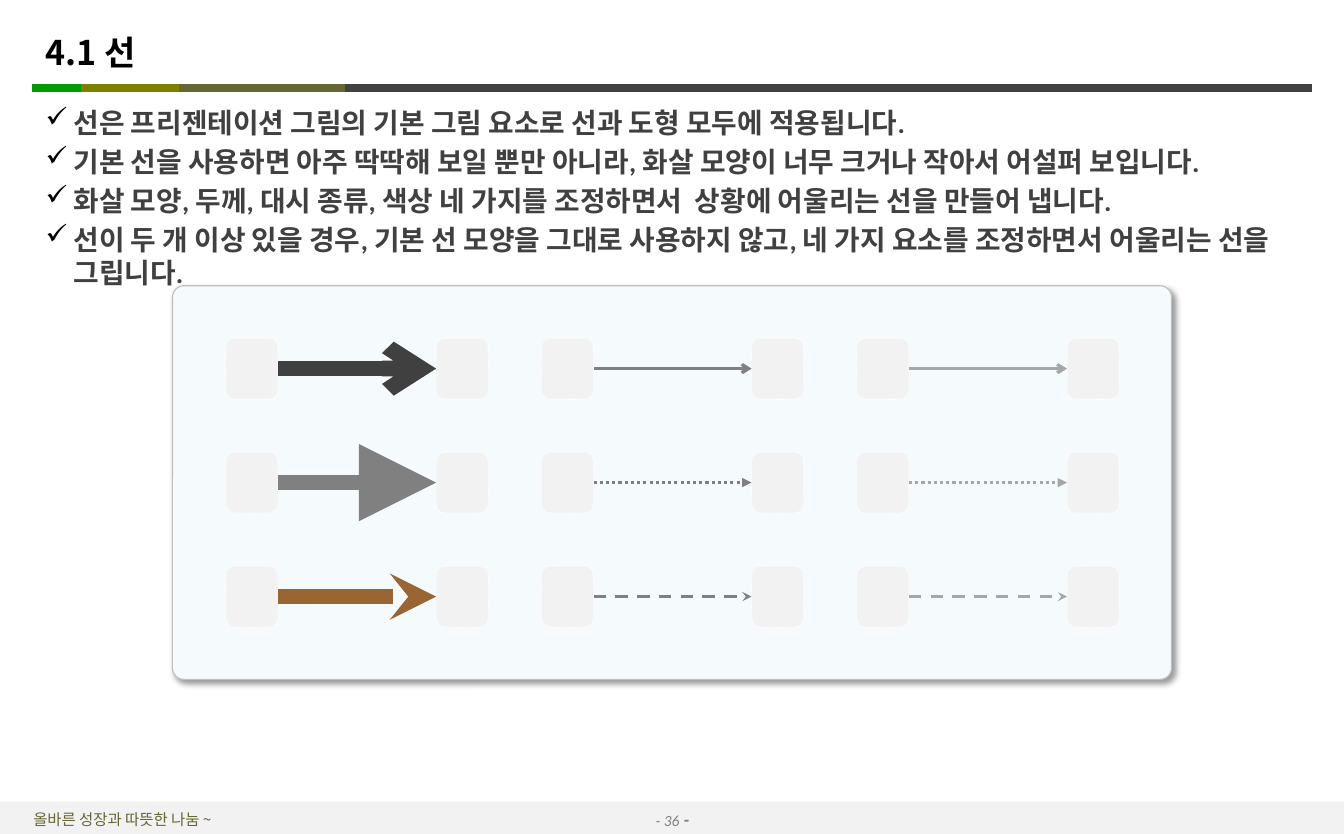
from lxml import etree
from pptx import Presentation
from pptx.dml.color import RGBColor
from pptx.enum.dml import MSO_LINE
from pptx.enum.shapes import MSO_CONNECTOR, MSO_SHAPE
from pptx.enum.text import MSO_ANCHOR, PP_ALIGN
from pptx.oxml import parse_xml
from pptx.oxml.ns import nsdecls, qn
from pptx.util import Inches, Pt

STRAIGHT = MSO_CONNECTOR.STRAIGHT
ROUNDED = MSO_SHAPE.ROUNDED_RECTANGLE
DOTTED, DASHED = MSO_LINE.ROUND_DOT, MSO_LINE.DASH
MIDDLE, CENTER = MSO_ANCHOR.MIDDLE, PP_ALIGN.CENTER
RIGHT_SIDE, LEFT_SIDE = 3, 1

BLACK = RGBColor(0x00, 0x00, 0x00)
WHITE = RGBColor(0xFF, 0xFF, 0xFF)
DARK = RGBColor(0x40, 0x40, 0x40)
GRAY = RGBColor(0x80, 0x80, 0x80)
LIGHT_GRAY = RGBColor(0xA6, 0xA6, 0xA6)
PANEL_BORDER = RGBColor(0xBF, 0xBF, 0xBF)
PALE_GRAY = RGBColor(0xF2, 0xF2, 0xF2)
PALE_BLUE = RGBColor(0xF5, 0xFA, 0xFD)
GREEN = RGBColor(0x00, 0x99, 0x00)
OLIVE = RGBColor(0x80, 0x80, 0x00)
MOSS = RGBColor(0x66, 0x66, 0x33)
BROWN = RGBColor(0x99, 0x66, 0x33)

KOREAN_FONT, LATIN_FONT = "Noto Sans CJK KR", "Calibri"
BULLETS = [
    "선은 프리젠테이션 그림의 기본 그림 요소로 선과 도형 모두에 적용됩니다.",
    "기본 선을 사용하면 아주 딱딱해 보일 뿐만 아니라, 화살 모양이 너무 크거나 작아서 어설퍼 보입니다.",
    "화살 모양, 두께, 대시 종류, 색상 네 가지를 조정하면서  상황에 어울리는 선을 만들어 냅니다.",
    "선이 두 개 이상 있을 경우, 기본 선 모양을 그대로 사용하지 않고, "
    "네 가지 요소를 조정하면서 어울리는 선을 그립니다.",
]
# Each row: arrowhead, head size of the thick arrow, thick arrow colour, dash of the thin arrows
ARROW_ROWS = [
    ("arrow", "med", DARK, None),
    ("triangle", "lg", GRAY, DOTTED),
    ("stealth", "med", BROWN, DASHED),
]
GRID_LEFT, GRID_TOP = 2.03, 3.04
PAIR_STEP, ROW_STEP, BOX_STEP = 2.835, 1.025, 1.89
BOX_WIDTH, BOX_HEIGHT = 0.47, 0.55


def format_run(run, font_name, size, color, bold=False, italic=False):
    """Style a run, using the same typeface for Latin and Korean letters."""
    font = run.font
    font.name, font.size = font_name, Pt(size)
    font.bold, font.italic = bold, italic
    font.color.rgb = color
    latin = run._r.rPr.find(qn("a:latin"))
    latin.addnext(parse_xml(f'<a:ea {nsdecls("a")} typeface="{font_name}"/>'))


def add_line(shapes, x1, y1, x2, y2, color, width):
    line = shapes.add_connector(STRAIGHT, Inches(x1), Inches(y1), Inches(x2), Inches(y2))
    line.line.color.rgb = color
    line.line.width = Pt(width)
    etree.SubElement(line._element.spPr, qn("a:effectLst"))
    return line


presentation = Presentation()
presentation.slide_width, presentation.slide_height = Inches(12.08), Inches(7.5)
slide = presentation.slides.add_slide(presentation.slide_layouts[5])
shapes = slide.shapes

# Footer
footer_bar = shapes.add_shape(MSO_SHAPE.RECTANGLE, 0, Inches(7.21), Inches(12.08), Inches(0.29))
footer_bar.shadow.inherit = False
footer_bar.fill.solid()
footer_bar.fill.fore_color.rgb = PALE_GRAY
footer_bar.line.fill.background()

motto = shapes.add_textbox(0, Inches(7.24), Inches(2.2), Inches(0.26))
page_number = shapes.add_textbox(Inches(5.06), Inches(7.24), Inches(1.97), Inches(0.26))
for footer_box in (motto, page_number):
    footer_box.text_frame.word_wrap = True
    footer_box.text_frame.vertical_anchor = MIDDLE
    footer_box.text_frame.paragraphs[0].alignment = CENTER
motto_run = motto.text_frame.paragraphs[0].add_run()
motto_run.text = "올바른 성장과 따뜻한 나눔 ~"
format_run(motto_run, KOREAN_FONT, 10, MOSS)
for text, size, bold in (("- 36", 10, False), (" -", 12, True)):
    run = page_number.text_frame.paragraphs[0].add_run()
    run.text = text
    format_run(run, LATIN_FONT, size, GRAY, bold, italic=True)

# Title and the coloured rule under it
title = shapes.title
title.left, title.top, title.width, title.height = Inches(0.37), Inches(0.15), Inches(10), Inches(0.63)
title.text_frame.text = "4.1 선"
title.text_frame.vertical_anchor = MIDDLE
title.text_frame.paragraphs[0].alignment = PP_ALIGN.LEFT
format_run(title.text_frame.paragraphs[0].runs[0], KOREAN_FONT, 22, BLACK, bold=True)

for start, end, color in ((2.98, 11.79, DARK), (0.29, 1.09, GREEN), (0.73, 1.66, OLIVE), (1.61, 3.1, MOSS)):
    add_line(shapes, start, 0.79, end, 0.79, color, 5)

# Panel
panel = shapes.add_shape(ROUNDED, Inches(1.55), Inches(2.57), Inches(8.98), Inches(3.54))
panel.adjustments[0] = 0.029
panel.fill.solid()
panel.fill.fore_color.rgb = PALE_BLUE
panel.line.color.rgb = PANEL_BORDER
panel.line.width = Pt(0.75)
panel._element.spPr.append(parse_xml(
    f'<a:effectLst {nsdecls("a")}><a:outerShdw blurRad="{Pt(4)}" dist="{Pt(3)}" dir="2700000" '
    'algn="tl" rotWithShape="0"><a:srgbClr val="000000"><a:alpha val="40000"/></a:srgbClr>'
    '</a:outerShdw></a:effectLst>'))

# Bullets
body = shapes.add_textbox(Inches(0.37), Inches(0.91), Inches(11.34), Inches(1.03))
body.text_frame.word_wrap = True
for frame in (title.text_frame, body.text_frame):
    frame.margin_left = frame.margin_right = frame.margin_top = frame.margin_bottom = Inches(0.04)
body.text_frame.text = "\n".join(BULLETS)
for index, paragraph in enumerate(body.text_frame.paragraphs):
    properties = paragraph._p.get_or_add_pPr()
    properties.set("marL", str(Inches(0.25)))
    properties.set("indent", str(-Inches(0.25)))
    bullet_color = etree.SubElement(properties, qn("a:buClr"))
    etree.SubElement(bullet_color, qn("a:srgbClr"), val=str(BLACK))
    etree.SubElement(properties, qn("a:buChar"), char="✓")
    if index:
        paragraph.space_before = Pt(3.6)
    format_run(paragraph.runs[0], LATIN_FONT, 18, DARK, bold=True)

# Pairs of boxes joined by arrows
for row, (head, thick_head_size, thick_color, thin_dash) in enumerate(ARROW_ROWS):
    arrow_styles = [
        (thick_color, 10, None, thick_head_size),
        (GRAY, 2, thin_dash, "med"),
        (LIGHT_GRAY, 2, thin_dash, "med"),
    ]
    top = GRID_TOP + row * ROW_STEP
    for column, (color, width, dash, head_size) in enumerate(arrow_styles):
        left = GRID_LEFT + column * PAIR_STEP
        pair = []
        for box_left in (left, left + BOX_STEP):
            box = shapes.add_shape(ROUNDED, Inches(box_left), Inches(top), Inches(BOX_WIDTH), Inches(BOX_HEIGHT))
            box.shadow.inherit = False
            box.fill.solid()
            box.fill.fore_color.rgb = PALE_GRAY
            box.line.color.rgb = WHITE
            box.line.width = Pt(0.75)
            box.line.dash_style = DOTTED
            pair.append(box)
        middle = top + BOX_HEIGHT / 2
        arrow = add_line(shapes, left + BOX_WIDTH, middle, left + BOX_STEP, middle, color, width)
        arrow.begin_connect(pair[0], RIGHT_SIDE)
        arrow.end_connect(pair[1], LEFT_SIDE)
        if dash:
            arrow.line.dash_style = dash
        etree.SubElement(arrow.line._get_or_add_ln(), qn("a:tailEnd"), type=head, w=head_size, len=head_size)

presentation.save("out.pptx")
